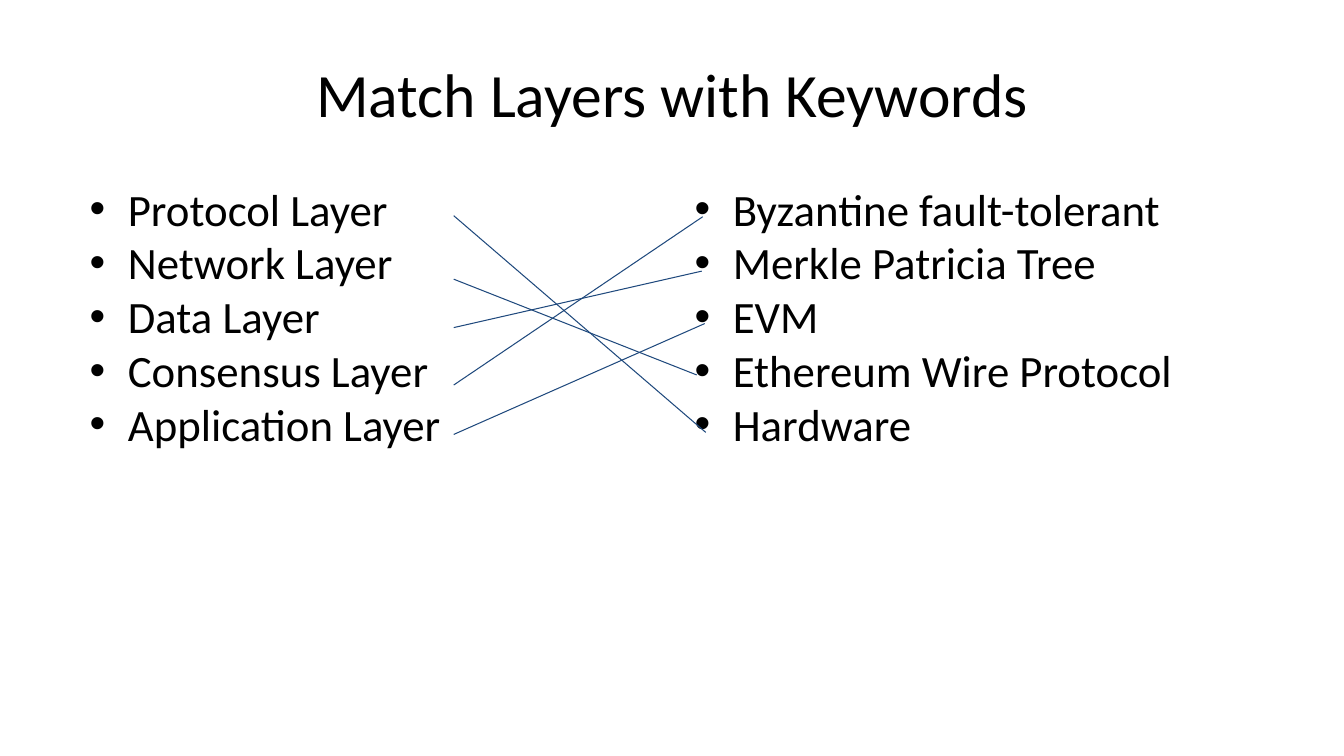
"""Build a slide that matches blockchain layers with their keywords."""
from lxml.etree import SubElement
from pptx import Presentation
from pptx.dml.color import RGBColor
from pptx.enum.shapes import MSO_CONNECTOR as Connector
from pptx.enum.text import MSO_ANCHOR as Anchor, PP_ALIGN as Align
from pptx.oxml.ns import qn
from pptx.util import Inches, Pt

COLORS = {"text": "000000", "match": "1F497D"}


class MatchSlide:
    def __init__(self, deck):
        self.slide = deck.slides.add_slide(deck.slide_layouts[6])
        self.font = "Calibri"

    def text_frame(self, left, top, width, height, anchor):
        box = self.slide.shapes.add_textbox(
            Inches(left), Inches(top), Inches(width), Inches(height))
        frame = box.text_frame
        frame.word_wrap = True
        frame.vertical_anchor = anchor
        return frame

    def add_run(self, paragraph, text, size):
        run = paragraph.add_run()
        run.text = text
        run.font.name = self.font
        run.font.size = Pt(size)
        run.font.color.rgb = RGBColor.from_string(COLORS["text"])

    def title(self, text):
        heading = self.text_frame(0.67, 0.3, 12, 1.25, Anchor.MIDDLE).paragraphs[0]
        heading.alignment = Align.CENTER
        self.add_run(heading, text, 44)

    def bullets(self, left, entries):
        frame = self.text_frame(left, 1.75, 6, 4.95, Anchor.TOP)
        for index, entry in enumerate(entries):
            item = frame.add_paragraph() if index else frame.paragraphs[0]
            properties = item._p.get_or_add_pPr()
            properties.set("marL", str(Inches(0.5)))
            properties.set("indent", str(Inches(-0.38)))
            bullet_color = SubElement(properties, qn("a:buClr"))
            SubElement(bullet_color, qn("a:srgbClr"), val=COLORS["text"])
            SubElement(properties, qn("a:buFont"), typeface="Arial")
            SubElement(properties, qn("a:buChar"), char="•")
            self.add_run(item, entry, 32)

    def match_line(self, start_y, end_x, end_y):
        match = self.slide.shapes.add_connector(
            Connector.STRAIGHT, Inches(4.5), Inches(start_y),
            Inches(end_x), Inches(end_y))
        match.line.color.rgb = RGBColor.from_string(COLORS["match"])
        match.line.width = Pt(0.75)
        SubElement(match._element.spPr, qn("a:effectLst"))


def main():
    deck = Presentation()
    deck.slide_width, deck.slide_height = Inches(13.33), Inches(7.5)
    slide = MatchSlide(deck)
    slide.title("Match Layers with Keywords")
    slide.bullets(0.67, ["Protocol Layer", "Network Layer", "Data Layer",
                         "Consensus Layer", "Application Layer"])
    slide.bullets(6.67, ["Byzantine fault-tolerant", "Merkle Patricia Tree", "EVM",
                         "Ethereum Wire Protocol", "Hardware"])
    matches = [(2.14, 7, 4.29), (2.77, 6.91, 3.72), (3.25, 6.96, 2.69),
               (3.82, 6.97, 2.15), (4.31, 6.99, 3.21)]
    for start_y, end_x, end_y in matches:
        slide.match_line(start_y, end_x, end_y)
    deck.save("out.pptx")


if __name__ == "__main__":
    main()
